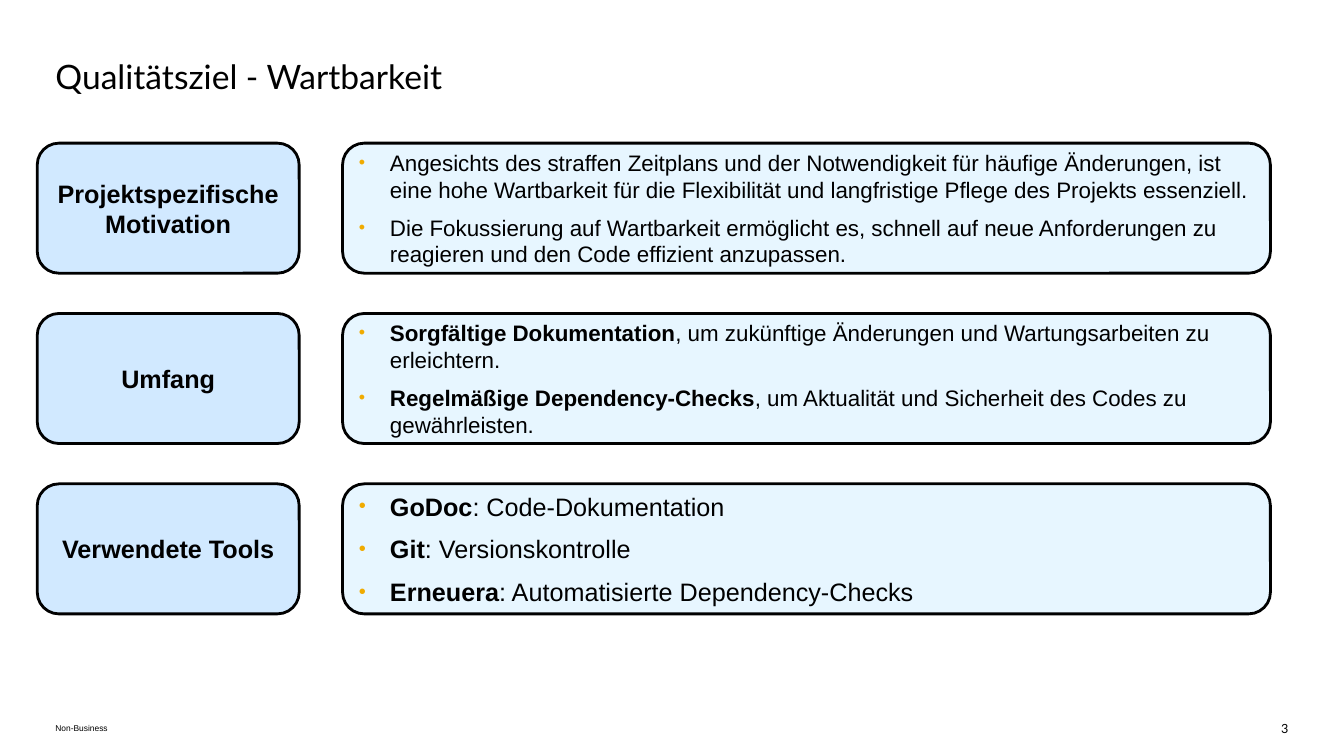
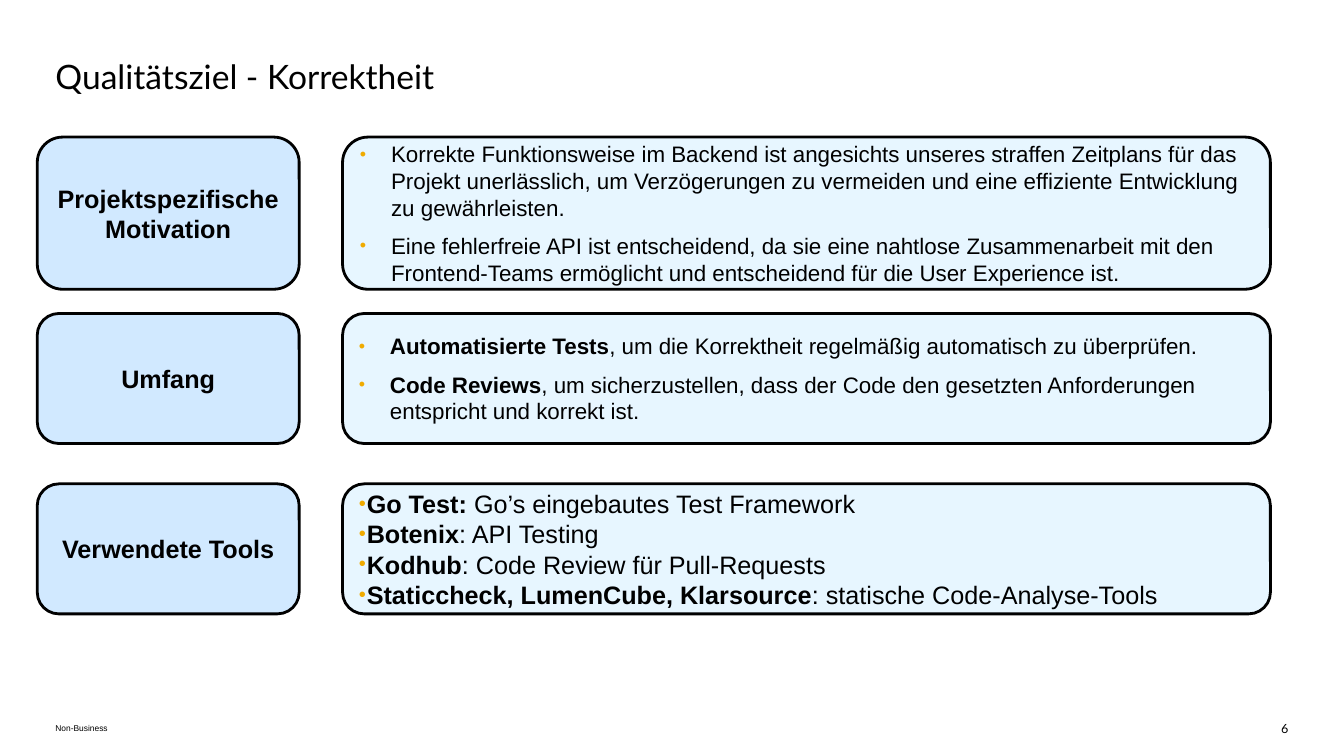
import pptx
import pptx.dml.color
import pptx.enum.shapes
import pptx.enum.text
import pptx.oxml.ns
import pptx.util
from dataclasses import dataclass
from lxml import etree

PX = 9144  # EMU per px, 100 px to the inch
ANCHOR = pptx.enum.text.MSO_ANCHOR
ALIGN = pptx.enum.text.PP_ALIGN
ROUNDED = pptx.enum.shapes.MSO_SHAPE.ROUNDED_RECTANGLE


@dataclass(frozen=True)
class Theme:
    ink: str = "000000"
    label_fill: str = "D1E9FF"
    detail_fill: str = "E7F6FF"
    bullet: str = "F0AB00"
    body_font: str = "Arial"
    title_font: str = "Lato"
    title_size: int = 24
    large_size: int = 18
    text_size: int = 16
    number_size: int = 9
    footer_size: int = 6
    line_width: int = 2


THEME = Theme()
SLIDE_SIZE = (1334, 750)
TITLE_BOX = (55, 55, 1223, 40)
FOOTER_BOX = (55, 715, 1111, 15)
NUMBER_BOX = (1263, 715, 16, 15)
LABEL_LEFT, LABEL_WIDTH = 37, 260
DETAIL_LEFT, DETAIL_WIDTH = 340, 921
ROW_TOP, ROW_STEP, ROW_HEIGHT = 142, 169, 129
INSETS = (10, 8, 10, 8)
HANGING = 31
TIGHT_MARGIN = 8

FOOTER = "Non-Business"
LABELS = ("Projektspezifische Motivation", "Umfang", "Verwendete Tools")

# Each item is (bold lead, plain rest); a row may override top, height, size or tightness.
SLIDES = [
    {
        "title": "Qualitätsziel - Wartbarkeit",
        "number": "3",
        "rows": [
            {"items": [
                ("", "Angesichts des straffen Zeitplans und der Notwendigkeit für häufige Änderungen, "
                     "ist eine hohe Wartbarkeit für die Flexibilität und langfristige Pflege des "
                     "Projekts essenziell."),
                ("", "Die Fokussierung auf Wartbarkeit ermöglicht es, schnell auf neue Anforderungen "
                     "zu reagieren und den Code effizient anzupassen."),
            ]},
            {"items": [
                ("Sorgfältige Dokumentation",
                 ", um zukünftige Änderungen und Wartungsarbeiten zu erleichtern."),
                ("Regelmäßige Dependency-Checks",
                 ", um Aktualität und Sicherheit des Codes zu gewährleisten."),
            ]},
            {"size": THEME.large_size, "items": [
                ("GoDoc", ": Code-Dokumentation"),
                ("Git", ": Versionskontrolle"),
                ("Erneuera", ": Automatisierte Dependency-Checks"),
            ]},
        ],
    },
    {
        "title": "Qualitätsziel - Korrektheit",
        "number": "6",
        "rows": [
            {"top": 136, "height": 151, "items": [
                ("", "Korrekte Funktionsweise im Backend ist angesichts unseres straffen Zeitplans "
                     "für das Projekt unerlässlich, um Verzögerungen zu vermeiden und eine effiziente "
                     "Entwicklung zu gewährleisten."),
                ("", "Eine fehlerfreie API ist entscheidend, da sie eine nahtlose Zusammenarbeit mit "
                     "den Frontend-Teams ermöglicht und entscheidend für die User Experience ist."),
            ]},
            {"items": [
                ("Automatisierte Tests",
                 ", um die Korrektheit regelmäßig automatisch zu überprüfen."),
                ("Code Reviews",
                 ", um sicherzustellen, dass der Code den gesetzten Anforderungen entspricht "
                 "und korrekt ist."),
            ]},
            {"size": THEME.large_size, "tight": True, "items": [
                ("Go Test: ", "Go’s eingebautes Test Framework"),
                ("Botenix", ": API Testing"),
                ("Kodhub", ": Code Review für Pull-Requests"),
                ("Staticcheck, LumenCube, Klarsource", ": statische Code-Analyse-Tools"),
            ]},
        ],
    },
]


def emu(lengths):
    return [length * PX for length in lengths]


def color(value):
    return pptx.dml.color.RGBColor.from_string(value)


def style_span(span, size, font=THEME.body_font, bold=False):
    span.font.size = pptx.util.Pt(size)
    span.font.name = font
    span.font.bold = bold
    span.font.color.rgb = color(THEME.ink)


def set_frame(frame, insets=(0, 0, 0, 0), anchor=ANCHOR.TOP, wrap=True):
    frame.margin_left, frame.margin_top, frame.margin_right, frame.margin_bottom = emu(insets)
    frame.vertical_anchor = anchor
    frame.word_wrap = wrap
    frame.auto_size = pptx.enum.text.MSO_AUTO_SIZE.NONE


def add_bullet(para, margin):
    properties = para._p.get_or_add_pPr()
    properties.set("marL", str(margin * PX))
    properties.set("indent", str(-HANGING * PX))

    def add(parent, tag, **attributes):
        return etree.SubElement(parent, pptx.oxml.ns.qn(tag), **attributes)

    add(add(properties, "a:buClr"), "a:srgbClr", val=THEME.bullet)
    add(properties, "a:buSzPct", val="80000")
    add(properties, "a:buFont", typeface=THEME.body_font)
    add(properties, "a:buChar", char="•")


def add_title(page, text):
    title = page.shapes.title
    title.left, title.top, title.width, title.height = emu(TITLE_BOX)
    set_frame(title.text_frame)
    title.text_frame.text = text
    para = title.text_frame.paragraphs[0]
    para.alignment = ALIGN.LEFT
    style_span(para.runs[0], THEME.title_size, THEME.title_font)


def add_note_line(page, place, text, size, font, align, anchor, wrap):
    box = page.shapes.add_textbox(*emu(place))
    set_frame(box.text_frame, anchor=anchor, wrap=wrap)
    box.text_frame.text = text
    para = box.text_frame.paragraphs[0]
    para.alignment = align
    style_span(para.runs[0], size, font)


def add_panel(page, place, fill):
    panel = page.shapes.add_shape(ROUNDED, *emu(place))
    panel.shadow.inherit = False
    panel.fill.solid()
    panel.fill.fore_color.rgb = color(fill)
    panel.line.color.rgb = color(THEME.ink)
    panel.line.width = pptx.util.Pt(THEME.line_width)
    set_frame(panel.text_frame, INSETS, ANCHOR.MIDDLE)
    return panel.text_frame


def add_label(page, top, height, text):
    frame = add_panel(page, (LABEL_LEFT, top, LABEL_WIDTH, height), THEME.label_fill)
    frame.text = text
    para = frame.paragraphs[0]
    para.alignment = ALIGN.CENTER
    para.space_before = pptx.util.Pt(THEME.large_size / 2)
    style_span(para.runs[0], THEME.large_size, bold=True)


def add_details(page, top, height, row):
    frame = add_panel(page, (DETAIL_LEFT, top, DETAIL_WIDTH, height), THEME.detail_fill)
    size = row.get("size", THEME.text_size)
    tight = row.get("tight", False)
    for index, (lead, rest) in enumerate(row["items"]):
        para = frame.add_paragraph() if index else frame.paragraphs[0]
        para.alignment = ALIGN.LEFT
        para.space_before = pptx.util.Pt(0 if tight else size / 2)
        add_bullet(para, TIGHT_MARGIN if tight else HANGING)
        for text, bold in ((lead, True), (rest, False)):
            if text:
                span = para.add_run()
                span.text = text
                style_span(span, size, bold=bold)


def add_page(deck, content):
    page = deck.slides.add_slide(deck.slide_layouts.get_by_name("Title Only"))
    add_title(page, content["title"])
    for index, (label, row) in enumerate(zip(LABELS, content["rows"])):
        top = row.get("top", ROW_TOP + index * ROW_STEP)
        height = row.get("height", ROW_HEIGHT)
        add_details(page, top, height, row)
        add_label(page, top, height, label)
    add_note_line(page, FOOTER_BOX, FOOTER, THEME.footer_size, THEME.body_font,
                  ALIGN.LEFT, ANCHOR.MIDDLE, True)
    add_note_line(page, NUMBER_BOX, content["number"], THEME.number_size, THEME.title_font,
                  ALIGN.RIGHT, ANCHOR.TOP, False)


def main():
    deck = pptx.Presentation()
    deck.slide_width, deck.slide_height = emu(SLIDE_SIZE)
    for content in SLIDES:
        add_page(deck, content)
    deck.save("out.pptx")


if __name__ == "__main__":
    main()
